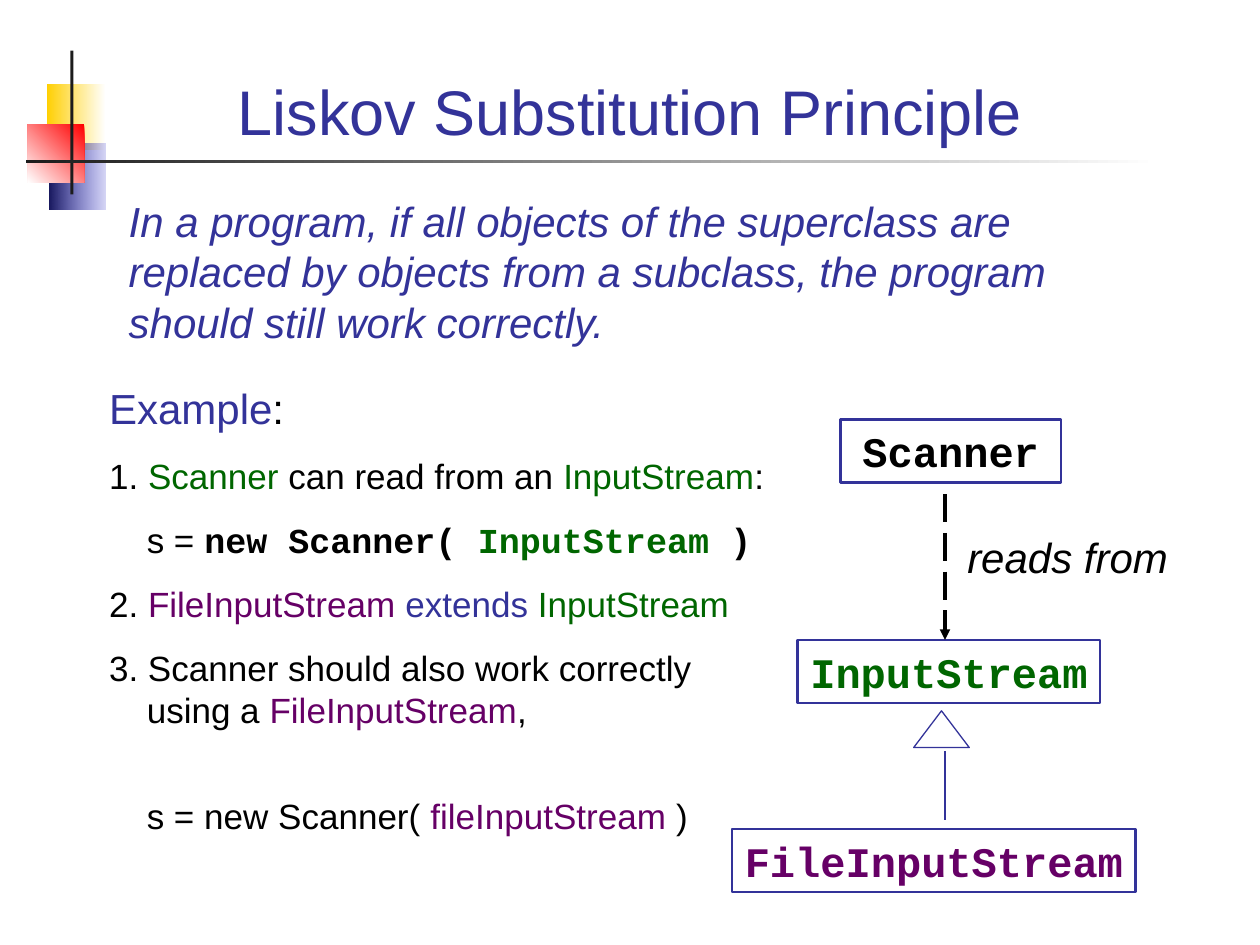
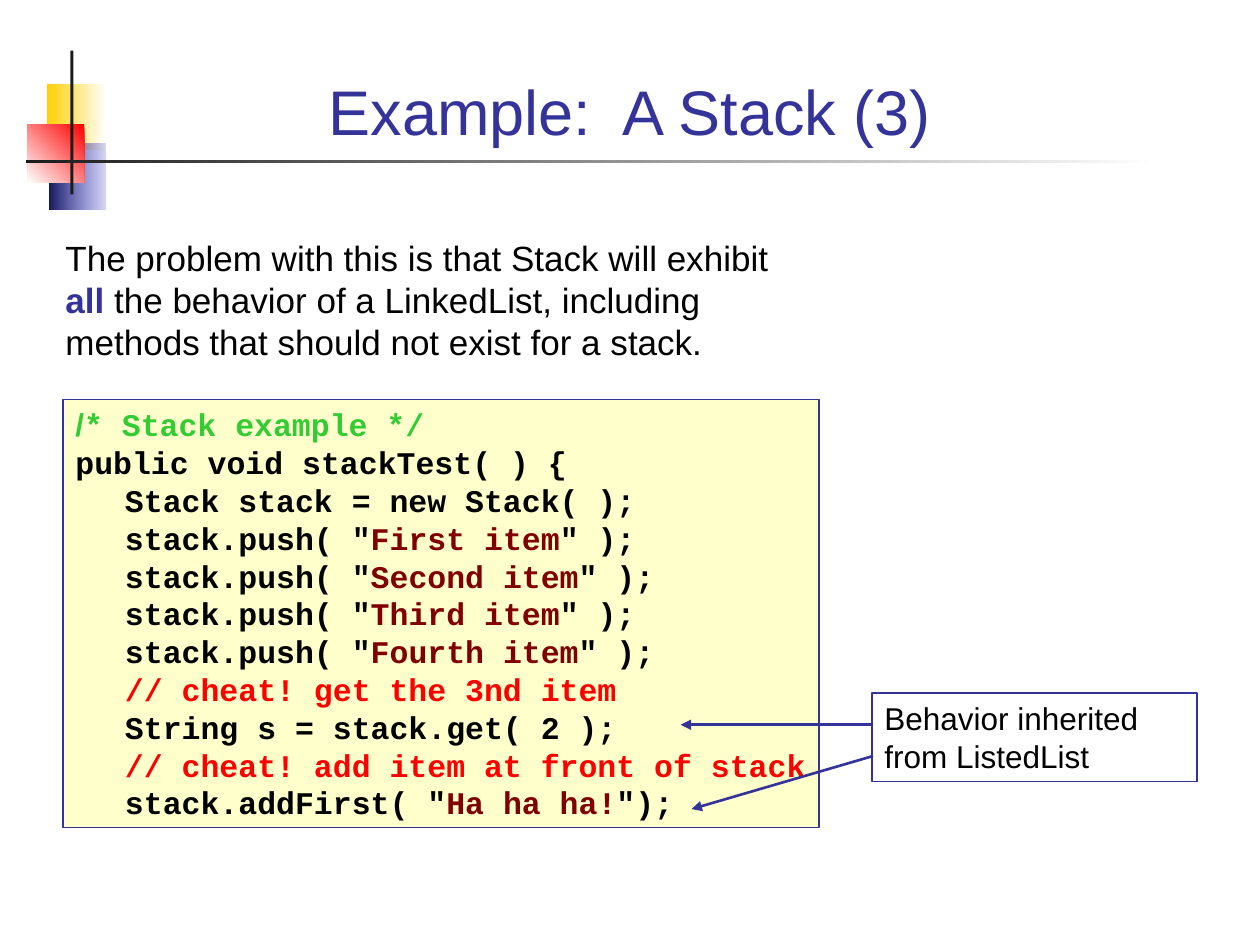
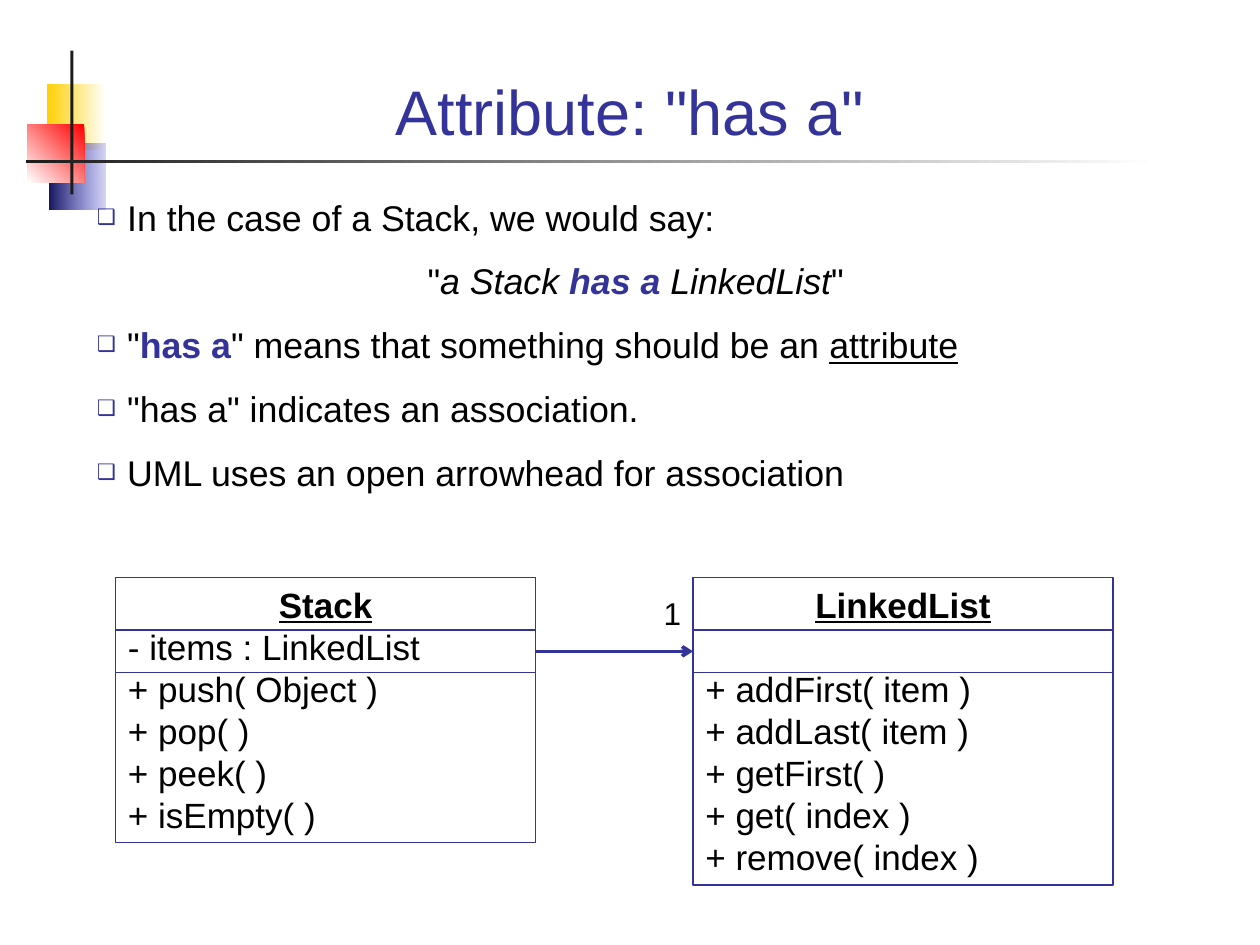
import pptx
import pptx.dml.color
import pptx.enum.dml
import pptx.enum.shapes
import pptx.enum.text
import pptx.oxml
import pptx.oxml.ns
import pptx.util

Cm = pptx.util.Cm
Pt = pptx.util.Pt
SHAPE = pptx.enum.shapes.MSO_SHAPE
ANCHOR = pptx.enum.text.MSO_ANCHOR
CENTER = pptx.enum.text.PP_ALIGN.CENTER
LONG_DASH = pptx.enum.dml.MSO_LINE.LONG_DASH

INDIGO, BLACK, WHITE, CHARCOAL = "333399", "000000", "FFFFFF", "1C1C1C"
CODE_FONT = "Courier New"
LINE_HEIGHT = 1.2

accent = dict(color=INDIGO)
strong = dict(color=INDIGO, bold=True)
stream = dict(color="006600")
file_stream = dict(color="660066")
literal = dict(color="800000")
cheat = dict(color="FF0000")
code = dict(font=CODE_FONT, bold=True)


def rgb(value):
    return pptx.dml.color.RGBColor.from_string(value)


def add_xml(parent, tag, **attributes):
    child = pptx.oxml.parse_xml(f"<a:{tag} {pptx.oxml.ns.nsdecls('a')}/>")
    for name, value in attributes.items():
        child.set(name, value)
    parent.append(child)
    return child


def add_bullet(paragraph, symbol):
    properties = paragraph._p.get_or_add_pPr()
    if not symbol:
        add_xml(properties, "buNone")
        return
    add_xml(add_xml(properties, "buClr"), "srgbClr", val=INDIGO)
    add_xml(properties, "buSzPct", val="60000")
    add_xml(properties, "buChar", char=symbol)


def add_run(paragraph, text, size=20, font="Arial", color=BLACK,
            bold=False, italic=False, underline=False):
    run = paragraph.add_run()
    run.text = text
    run.font.size, run.font.name = Pt(size), font
    run.font.color.rgb = rgb(color)
    run.font.bold, run.font.italic, run.font.underline = bold, italic, underline


def write(frame, *runs, size=20, align=None, indent=0, hanging=0,
          before=0, bullet=None, **style):
    """Add one paragraph; a run is a string or (string, format overrides)."""
    paragraph = frame.add_paragraph() if frame.text else frame.paragraphs[0]
    properties = paragraph._p.get_or_add_pPr()
    properties.set("marL", str(Cm(indent)))
    properties.set("indent", str(-Cm(hanging)))
    add_bullet(paragraph, bullet)
    paragraph.alignment = align
    paragraph.space_before = Pt(before)
    paragraph.line_spacing = Pt(round(size * LINE_HEIGHT, 2))
    for run in runs:
        text, changes = (run, {}) if isinstance(run, str) else run
        add_run(paragraph, text, **{"size": size, **style, **changes})


class Deck:
    def __init__(self):
        self.presentation = pptx.Presentation()
        self.presentation.slide_width = Cm(25.4)
        self.presentation.slide_height = Cm(19.05)
        self.master = self.presentation.slide_master
        self.slide = None
        title, body = self.master.placeholders[0], self.master.placeholders[1]
        for holder, place in ((title, (1.7, 0.71, 22, 2.41)),
                              (body, (1.7, 3.81, 22, 6.15))):
            holder.left, holder.top, holder.width, holder.height = map(Cm, place)
            holder.text_frame.auto_size = pptx.enum.text.MSO_AUTO_SIZE.NONE
        title.text_frame.vertical_anchor = ANCHOR.BOTTOM

    def new_slide(self, title, with_body=True):
        """Start a slide and return the text frame of its body, if it has one."""
        layout = self.presentation.slide_layouts[1 if with_body else 5]
        self.slide = self.presentation.slides.add_slide(layout)
        write(self.slide.shapes.title.text_frame, title, size=36,
              align=CENTER, color=INDIGO)
        return self.slide.placeholders[1].text_frame if with_body else None

    def decorate_master(self):
        """Draw the corner ornament on the current slide and move it to the master."""
        yellow = self.gradient(0.94, 1.7, 1.19, 1.32, WHITE, "FFCF01")
        blue = self.gradient(0.99, 2.9, 1.14, 1.32, "3333CC", "17175E")
        first_color = next(blue.element.iter(pptx.oxml.ns.qn("a:srgbClr")))
        add_xml(first_color, "alpha", val="20000")
        red = self.gradient(0.56, 2.51, 1.14, 1.17, "FF0000", WHITE, angle=225)
        upright = self.shape(1.42, 1.02, 0.06, 2.9, fill=CHARCOAL, line=None)
        rule = self.gradient(0.53, 3.23, 22.81, 0.05, WHITE, CHARCOAL)
        for order, part in enumerate((yellow, blue, red, upright, rule)):
            part.element.nvSpPr.cNvPr.set("id", str(20 + order))
            self.master.shapes.element.insert(2 + order, part.element)

    def shape(self, left, top, width, height, kind=SHAPE.RECTANGLE,
              fill=None, line=INDIGO, weight=0.75):
        shape = self.slide.shapes.add_shape(
            kind, Cm(left), Cm(top), Cm(width), Cm(height))
        shape.shadow.inherit = False
        if fill:
            shape.fill.solid()
            shape.fill.fore_color.rgb = rgb(fill)
        else:
            shape.fill.background()
        if line:
            shape.line.color.rgb = rgb(line)
            shape.line.width = Pt(weight)
        else:
            shape.line.fill.background()
        return shape

    def gradient(self, left, top, width, height, start, end, angle=180):
        shape = self.shape(left, top, width, height, line=None)
        shape.fill.gradient()
        shape.fill.gradient_angle = angle
        for stop, position, color in zip(shape.fill.gradient_stops, (0, 1), (start, end)):
            stop.position = position
            stop.color.rgb = rgb(color)
        return shape

    def box(self, left, top, width, height, wrap=True, **look):
        """Draw an outlined box and return its text frame."""
        frame = self.shape(left, top, width, height, **look).text_frame
        frame.word_wrap = wrap
        frame.vertical_anchor = ANCHOR.TOP
        return frame

    def text(self, left, top, width, height, wrap=True):
        frame = self.slide.shapes.add_textbox(
            Cm(left), Cm(top), Cm(width), Cm(height)).text_frame
        frame.word_wrap = wrap
        return frame

    def line(self, x1, y1, x2, y2, color=INDIGO, weight=0.75, dash=None, head=None):
        line = self.slide.shapes.add_connector(
            pptx.enum.shapes.MSO_CONNECTOR.STRAIGHT, Cm(x1), Cm(y1), Cm(x2), Cm(y2))
        line.line.color.rgb = rgb(color)
        line.line.width = Pt(weight)
        if dash:
            line.line.dash_style = dash
        if head:
            add_xml(line.line._get_or_add_ln(), "tailEnd", type=head)
        add_xml(line.element.spPr, "effectLst")

    def class_diagram(self, left, name, attribute, operations):
        """Draw a UML class whose attribute compartment has one row."""
        top, width, row = 11.64, 8.47, 0.85
        frame = self.box(left, top, width, 0.25 + row * (2 + len(operations)))
        write(frame, name, align=CENTER, bold=True, underline=True)
        if attribute:
            write(frame, attribute)
        for index, operation in enumerate(operations):
            skipped_row = index == 0 and not attribute
            write(frame, operation, before=20 * LINE_HEIGHT if skipped_row else 0)
        for divider in (12.7, 12.7 + row):
            self.line(left, divider, left + width, divider)


def liskov_slide(deck):
    principle = deck.new_slide("Liskov Substitution Principle")
    deck.decorate_master()
    write(principle, "In a program, if all objects of the superclass are replaced "
          "by objects from a subclass, the program should still work correctly.",
          size=24, indent=0.64, color=INDIGO, italic=True)

    example = deck.text(1.9, 7.59, 13.97, 9.42)
    numbered = dict(indent=0.81, hanging=0.76, before=12.5)
    write(example, ("Example", accent), ":", size=24, indent=0.81, hanging=0.76)
    write(example, "1. ", ("Scanner", stream), " can read from an ",
          ("InputStream", stream), ":", **numbered)
    write(example, "s = ", ("new Scanner( ", code), ("InputStream", {**code, **stream}),
          (" )", code), indent=0.81, before=12.5)
    write(example, "2. ", ("FileInputStream ", file_stream), ("extends ", accent),
          ("InputStream", stream), **numbered)
    write(example, "3. Scanner should also work correctly using a ",
          ("FileInputStream", file_stream), ",", **numbered)
    write(example, "s = new Scanner( ", ("fileInputStream", file_stream), " )",
          indent=0.81, before=36.5)

    for name, left, top, width, color in (
            ("Scanner", 16.94, 8.46, 4.45, BLACK),
            ("InputStream", 16.08, 12.9, 6.1, stream["color"]),
            ("FileInputStream", 14.76, 16.71, 8.13, file_stream["color"])):
        frame = deck.box(left, top, width, 1.27, wrap=False, weight=1.5)
        write(frame, name, size=24, align=CENTER, color=color, **code)
    deck.shape(18.42, 14.33, 1.12, 0.74, kind=SHAPE.ISOSCELES_TRIANGLE, fill=WHITE)
    deck.line(19.05, 15.14, 19.05, 16.54)
    deck.line(19.05, 9.96, 19.05, 12.9, color=BLACK, weight=2,
              dash=LONG_DASH, head="triangle")
    write(deck.text(19.25, 10.59, 4.55, 1.27, wrap=False), "reads from",
          size=24, italic=True)


def stack_slide(deck):
    deck.new_slide("Example:  A Stack (3)", with_body=False)
    write(deck.text(1.07, 4.65, 15.44, 2.79),
          "The problem with this is that Stack will exhibit ", ("all", strong),
          " the behavior of a LinkedList, including methods that should not "
          "exist for a stack.")

    listing = deck.box(1.27, 8.05, 15.24, 8.64, fill="FFFFCC")
    write(listing, ("/", dict(font="Arial")), "* Stack example */",
          size=18, color="33CC33", **code)
    write(listing, "public void stackTest( ) {", size=18, **code)
    pushes = [('stack.push( "', (f"{nth} item", literal), '" );')
              for nth in ("First", "Second", "Third", "Fourth")]
    for statement in (
            ("Stack stack = new Stack( );",),
            *pushes,
            (("// cheat! get the 3nd item", cheat),),
            ("String s = stack.get( 2 );",),
            (("// cheat! add item at front of stack", cheat),),
            ('stack.addFirst( "', ("Ha ha ha!", literal), '");')):
        write(listing, *statement, size=18, indent=1, **code)

    deck.line(17.6, 15.24, 13.94, 16.31, weight=1.5, head="triangle")
    deck.line(17.6, 14.61, 13.72, 14.61, weight=1.5, head="triangle")
    write(deck.box(17.58, 13.97, 6.55, 1.78),
          "Behavior inherited from ListedList", size=18)


def attribute_slide(deck):
    points = deck.new_slide('Attribute: "has a"')
    item = dict(size=20.4, indent=0.61, hanging=0.61, bullet="❑")
    write(points, "In the case of a Stack, we would say:", **item)
    write(points, ' "', ("a Stack ", dict(italic=True)),
          ("has a", dict(strong, italic=True)), (" LinkedList", dict(italic=True)), '"',
          size=20.4, align=CENTER, indent=0.64, hanging=0.61, before=12)
    for runs in (
            ('"', ("has a", strong), '" means that something should be an ',
             ("attribute", dict(underline=True))),
            ('"has a" indicates an association.',),
            ("UML uses an open arrowhead for association",)):
        write(points, *runs, before=12, **item)

    deck.class_diagram(2.33, "Stack", "- items : LinkedList",
                       ("+ push( Object )", "+ pop( )", "+ peek( )", "+ isEmpty( )"))
    deck.class_diagram(13.97, "LinkedList", None,
                       ("+ addFirst( item )", "+ addLast( item )", "+ getFirst( )",
                        "+ get( index )", "+ remove( index )"))
    deck.line(10.8, 13.13, 13.97, 13.13, weight=2, head="arrow")
    write(deck.text(13.13, 11.86, 0.84, 1.02), "1", size=18)


def main():
    deck = Deck()
    liskov_slide(deck)
    stack_slide(deck)
    attribute_slide(deck)
    deck.presentation.save("out.pptx")


if __name__ == "__main__":
    main()
